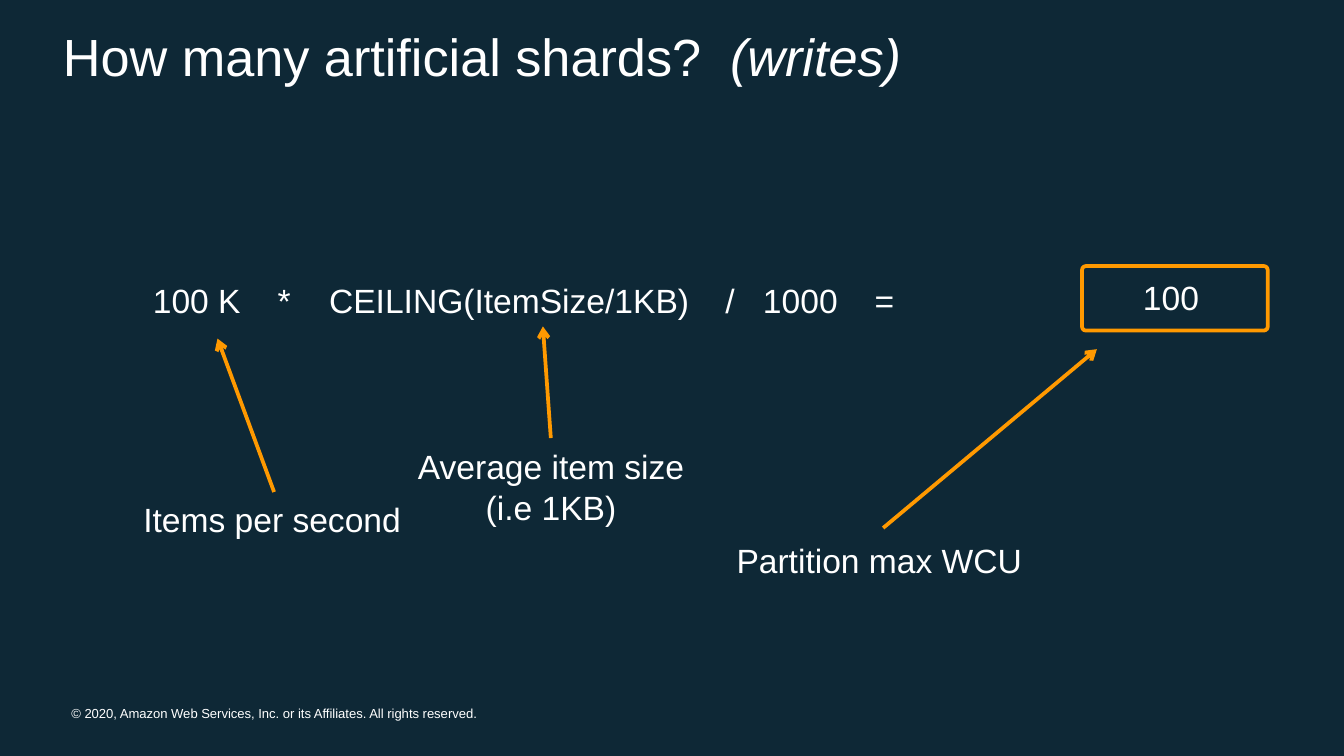
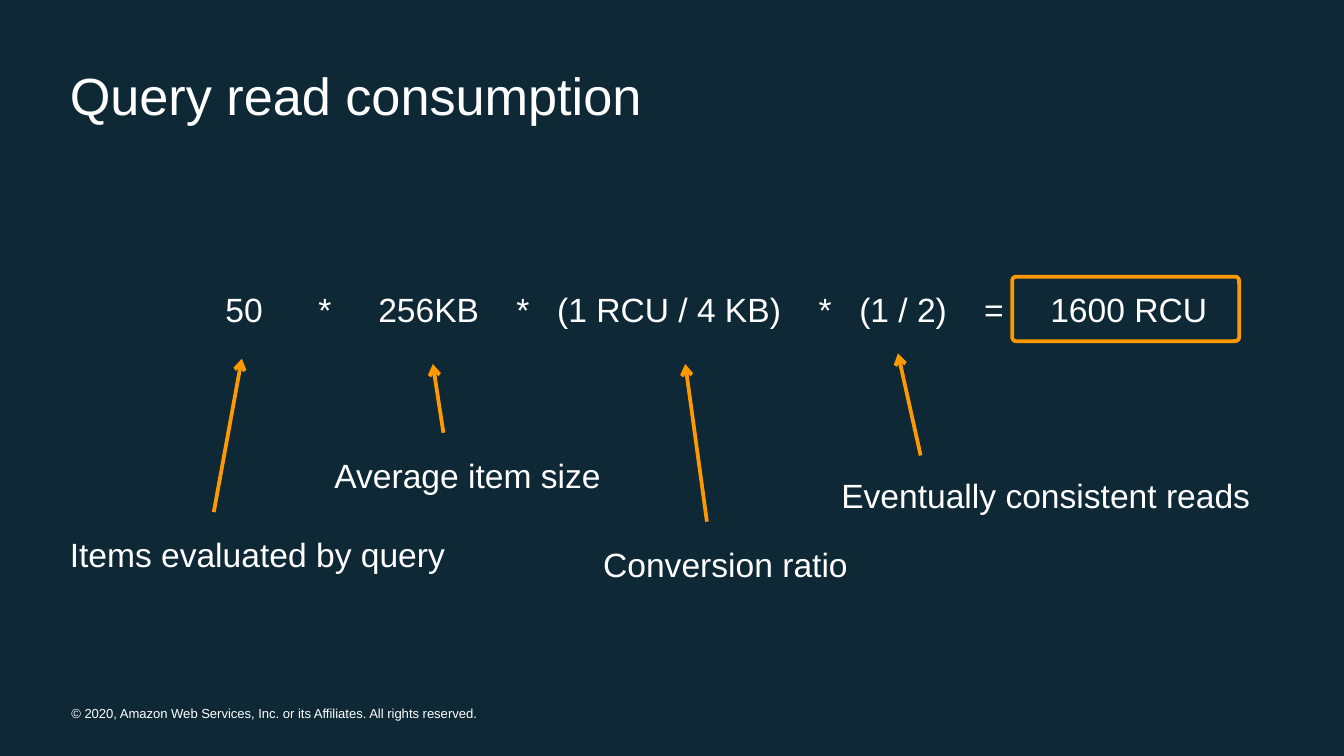
from lxml import etree
from pptx import Presentation
from pptx import util as u
from pptx.dml.color import RGBColor
from pptx.enum import shapes, text
from pptx.oxml.ns import qn

COLORS = {"navy": "0E2836", "white": "FFFFFF", "orange": "FF9900"}
FONT = "Arial"
BODY_SIZE = 18
LINE_WIDTH = u.Pt(2)
ROW_HEIGHT = 1.02
EXTRA_ROW = 0.78
RESULT_HEIGHT = 1.22
FOOTER = ("© 2020, Amazon Web Services, Inc. or its Affiliates. "
          "All rights reserved.")


def rgb(name):
    return RGBColor.from_string(COLORS[name])


def style(p, size):
    p.font.name = FONT
    p.font.size = u.Pt(size)
    p.font.color.rgb = rgb("white")


def add_text(s, content, x, y, w, h=ROW_HEIGHT, size=BODY_SIZE,
             align=None, wrap=False, tabs=()):
    """Add a one-paragraph text box; tabs are stops in cm from the text edge."""
    tf = s.shapes.add_textbox(u.Cm(x), u.Cm(y), u.Cm(w), u.Cm(h)).text_frame
    tf.word_wrap = wrap
    p = tf.paragraphs[0]
    p.text = content
    p.alignment = align
    if tabs:
        tab_list = etree.SubElement(p._p.get_or_add_pPr(), qn("a:tabLst"))
        for stop in tabs:
            etree.SubElement(tab_list, qn("a:tab"),
                             pos=str(u.Cm(stop)), algn="l")
    style(p, size)
    return tf


def add_footer(s):
    tf = add_text(s, FOOTER, 1.35, 13.34, 8.41, 0.3, size=7, wrap=True)
    tf.margin_left = tf.margin_right = tf.margin_top = tf.margin_bottom = 0


def add_title(s, title, x, y, note=None):
    """Add the title, with an optional note in italics after it."""
    tf = add_text(s, title, x, y, 22.78, 1.52, size=28, wrap=True)
    tf.vertical_anchor = text.MSO_ANCHOR.MIDDLE
    if note:
        r = tf.paragraphs[0].add_run()
        r.text = note
        r.font.italic = True


def add_arrow(s, start, end):
    points = [u.Cm(v) for v in (*start, *end)]
    cx = s.shapes.add_connector(shapes.MSO_CONNECTOR.STRAIGHT, *points)
    cx.line.color.rgb = rgb("orange")
    cx.line.width = LINE_WIDTH
    etree.SubElement(cx.line._get_or_add_ln(), qn("a:tailEnd"), type="arrow")
    etree.SubElement(cx._element.spPr, qn("a:effectLst"))


def add_callout(s, label, x, y, w, start, end):
    """Add a label and the arrow from it to its term in the formula."""
    rows = label.count("\v")
    align = text.PP_ALIGN.CENTER if rows else None
    add_text(s, label, x, y, w, ROW_HEIGHT + rows * EXTRA_ROW, align=align)
    add_arrow(s, start, end)


def add_result_frame(s, x, y, w):
    sp = s.shapes.add_shape(shapes.MSO_SHAPE.ROUNDED_RECTANGLE,
                            u.Cm(x), u.Cm(y), u.Cm(w), u.Cm(RESULT_HEIGHT))
    sp.adjustments[0] = 0.06
    sp.shadow.inherit = False
    sp.fill.background()
    sp.line.color.rgb = rgb("orange")
    sp.line.width = LINE_WIDTH


def add_formula(s, terms, x, y, w, tabs):
    add_text(s, "\t".join(terms), x, y, w, wrap=True, tabs=tabs)


def new_slide(prs):
    s = prs.slides.add_slide(prs.slide_layouts[6])
    add_footer(s)
    return s


def build_write_shards(prs):
    s = new_slide(prs)
    add_title(s, "How many artificial shards? ", 0.94, 0.3, " (writes)")
    callouts = [
        ("Items per second", 2.46, 9.3, 5.44, (5.18, 9.3), (4.11, 6.4)),
        ("Average item size\v(i.e 1KB)", 7.52, 8.31, 5.79,
         (10.41, 8.28), (10.26, 6.17)),
        ("Partition max WCU", 13.67, 10.08, 6.05,
         (16.69, 9.98), (20.73, 6.6)),
    ]
    for callout in callouts:
        add_callout(s, *callout)
    add_result_frame(s, 20.45, 5.03, 3.51)
    add_formula(s, ["100 K", "*", "CEILING(ItemSize/1KB)", "/", "1000", "="],
                2.64, 5.16, 15.21, [2.36, 3.33, 10.82, 11.53, 13.64])
    add_text(s, "100", 21.01, 5.11, 1.9, align=text.PP_ALIGN.RIGHT, wrap=True)


def build_query_reads(prs):
    s = new_slide(prs)
    add_title(s, "Query read consumption", 1.07, 1.02)
    callouts = [
        ("Items evaluated by query", 1.07, 9.96, 7.82,
         (4.04, 9.68), (4.57, 6.78)),
        ("Average item size", 6.07, 8.48, 5.59, (8.38, 8.18), (8.18, 6.88)),
        ("Conversion ratio", 11.15, 10.16, 5.28,
         (13.36, 9.86), (12.95, 6.88)),
        ("Eventually consistent reads", 15.65, 8.86, 8.43,
         (17.4, 8.61), (16.97, 6.68)),
    ]
    for callout in callouts:
        add_callout(s, *callout)
    add_result_frame(s, 19.13, 5.23, 4.29)
    add_formula(s, ["50", "*", "256KB", "*", "(1 RCU / 4 KB)", "*",
                    "(1 / 2)", "=", "1600 RCU"], 4.01, 5.33, 19.46,
                [1.76, 2.89, 5.5, 6.27, 11.21, 11.98, 14.34, 15.59])


def main():
    prs = Presentation()
    prs.slide_width, prs.slide_height = u.Cm(25.4), u.Cm(14.29)
    fill = prs.slide_master.background.fill
    fill.solid()
    fill.fore_color.rgb = rgb("navy")
    build_write_shards(prs)
    build_query_reads(prs)
    prs.save("out.pptx")


if __name__ == "__main__":
    main()
